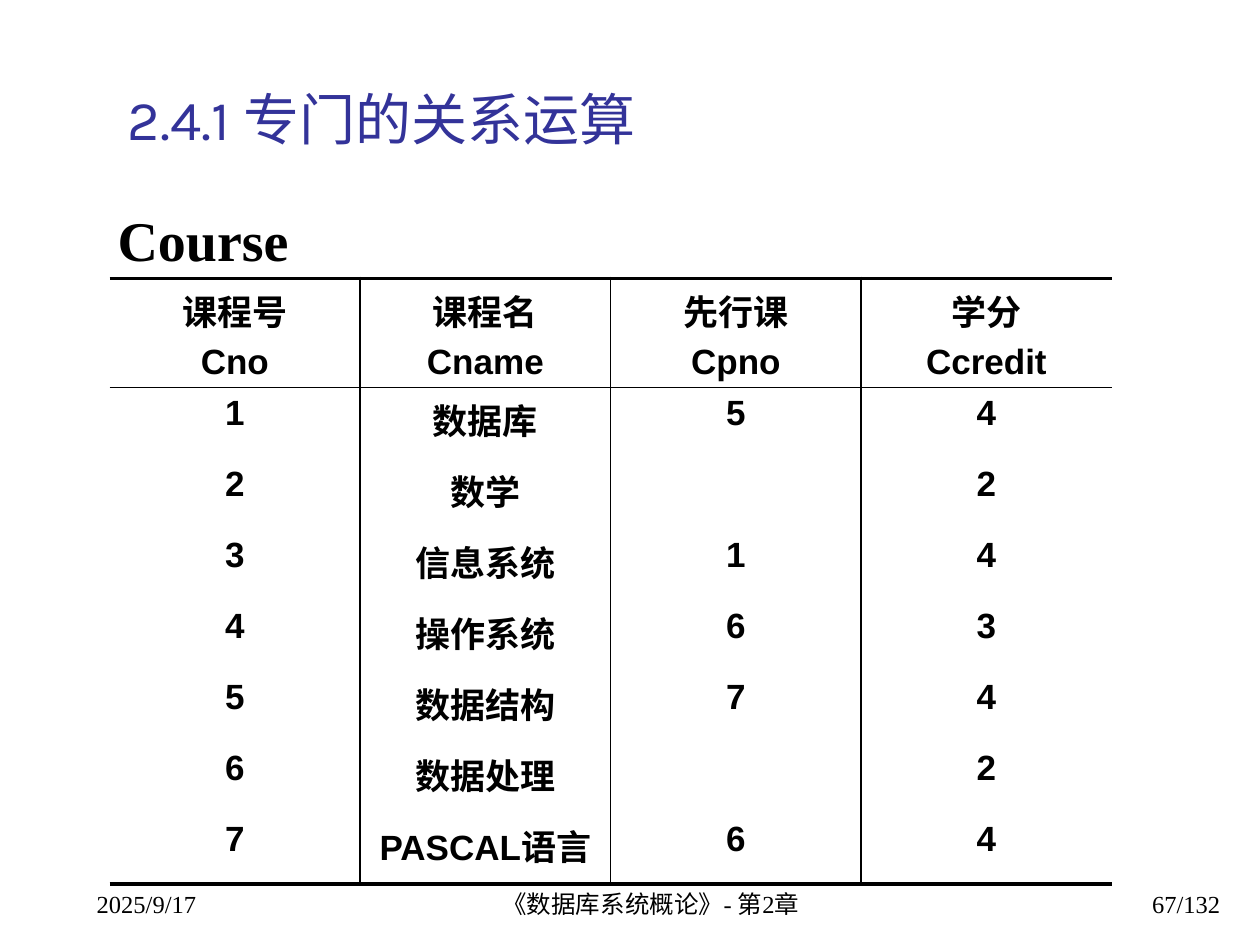
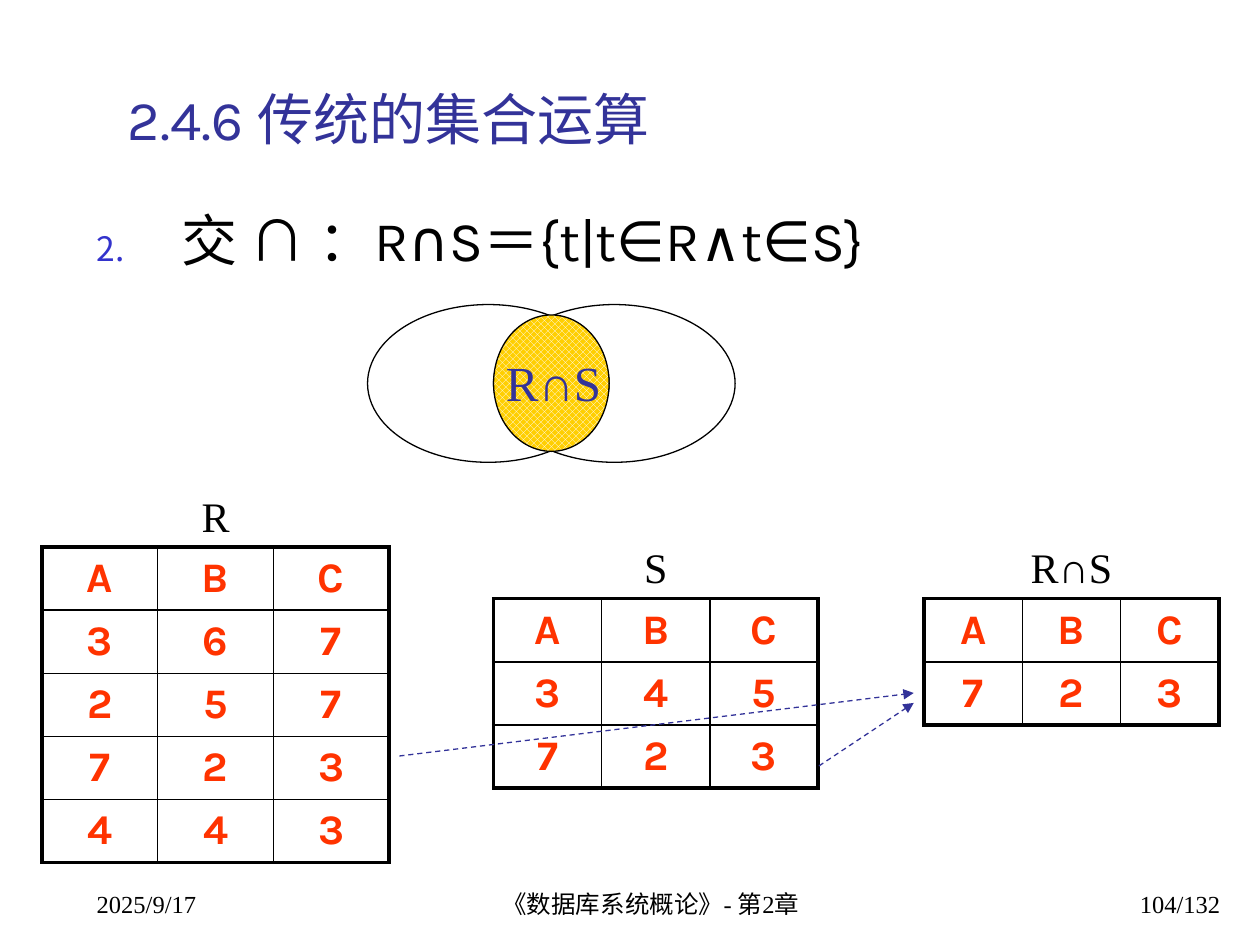
from dataclasses import dataclass
from typing import Any

import lxml.etree
import pptx
import pptx.dml.color
import pptx.enum.dml
import pptx.enum.shapes
import pptx.enum.text
import pptx.oxml.ns
import pptx.slide
import pptx.util

Cm = pptx.util.Cm
Pt = pptx.util.Pt
RGBColor = pptx.dml.color.RGBColor
Align = pptx.enum.text.PP_ALIGN
Anchor = pptx.enum.text.MSO_ANCHOR
Shapes = pptx.enum.shapes.MSO_SHAPE

BLACK = RGBColor(0x00, 0x00, 0x00)
WHITE = RGBColor(0xFF, 0xFF, 0xFF)
NAVY = RGBColor(0x33, 0x33, 0x99)
BULLET_BLUE = RGBColor(0x33, 0x33, 0xCC)
YELLOW = RGBColor(0xFF, 0xCF, 0x01)
ORANGE_RED = RGBColor(0xFF, 0x33, 0x00)

SERIF = "Times New Roman"
FOOTER_FORMAT = {"name": SERIF, "size": Pt(14)}
TITLE_FORMAT = {"name": "Karla", "size": Pt(32)}
CAPTION_FORMAT = {"name": SERIF, "size": Pt(32), "bold": True}
LENS_FORMAT = {"name": SERIF, "size": Pt(28)}
LABEL_FORMAT = {"name": SERIF, "size": Pt(24)}
COURSE_FORMAT = {"name": "Arial", "size": Pt(20), "bold": True}
RELATION_FORMAT = {"name": "Karla", "size": Pt(24), "bold": True}

THICK, THIN = 2.25, 1.0
RELATION_ROW = 1.27


@dataclass(frozen=True)
class Box:
    """A rectangle in centimetres."""
    left: float
    top: float
    width: float
    height: float

    def lengths(self) -> tuple[int, ...]:
        return tuple(Cm(value) for value in (self.left, self.top, self.width, self.height))


@dataclass(frozen=True)
class TextStyle:
    font: dict[str, Any]
    color: RGBColor = BLACK
    align: Any = Align.LEFT
    anchor: Any = Anchor.TOP
    wrap: bool = True


@dataclass(frozen=True)
class Grid:
    """A table with line widths in points; outer_side 0 leaves the sides open."""
    left: float
    top: float
    column_width: float
    row_heights: list[float]
    rows: list[list[str]]
    style: TextStyle
    outer_side: float = THICK
    inner_row: float = THIN


@dataclass(frozen=True)
class Relation:
    label: str
    left: float
    top: float
    column_width: float
    rows: list[str]


@dataclass(frozen=True)
class Arrow:
    start: tuple[float, float]
    end: tuple[float, float]


TITLE_BOX = Box(2.33, 1.06, 22.5, 2.12)
TITLE_STYLE = TextStyle(TITLE_FORMAT, NAVY, anchor=Anchor.BOTTOM)
LABEL_STYLE = TextStyle(LABEL_FORMAT, align=Align.CENTER)
COURSE_STYLE = TextStyle(COURSE_FORMAT, align=Align.CENTER)
RELATION_STYLE = TextStyle(RELATION_FORMAT, ORANGE_RED, Align.CENTER, Anchor.MIDDLE)

COURSES = [
    ["课程号\nCno", "课程名\nCname", "先行课\nCpno", "学分\nCcredit"],
    ["1", "数据库", "5", "4"],
    ["2", "数学", "", "2"],
    ["3", "信息系统", "1", "4"],
    ["4", "操作系统", "6", "3"],
    ["5", "数据结构", "7", "4"],
    ["6", "数据处理", "", "2"],
    ["7", "PASCAL语言", "6", "4"],
]
RELATIONS = [
    Relation("R", 0.85, 11.03, 2.33, ["ABC", "367", "257", "723", "443"]),
    Relation("S", 9.95, 12.07, 2.18, ["ABC", "345", "723"]),
    Relation("R∩S", 18.63, 12.07, 1.98, ["ABC", "723"]),
]
SET_CIRCLES = [Box(7.41, 6.14, 4.87, 3.18), Box(9.95, 6.14, 4.87, 3.18)]
INTERSECTION = Box(9.95, 6.35, 2.33, 2.75)
ARROWS = [
    Arrow((8.05, 15.24), (18.42, 13.97)),
    Arrow((16.51, 15.44), (18.42, 14.17)),
]


def add_element(parent: Any, tag: str, **attributes: str) -> Any:
    return lxml.etree.SubElement(parent, pptx.oxml.ns.qn(tag), attributes)


def write_text(text_frame: Any, text: str, style: TextStyle) -> None:
    """Fill a frame or cell frame, one paragraph for each line."""
    text_frame.text = text
    for index, paragraph in enumerate(text_frame.paragraphs):
        paragraph.alignment = style.align
        if index:
            paragraph.space_before = Pt(4)
        for run in paragraph.runs:
            for name, value in style.font.items():
                setattr(run.font, name, value)
            run.font.color.rgb = style.color


def add_text(slide: pptx.slide.Slide, box: Box, text: str, style: TextStyle) -> Any:
    shape = slide.shapes.add_textbox(*box.lengths())
    shape.text_frame.word_wrap = style.wrap
    shape.text_frame.vertical_anchor = style.anchor
    write_text(shape.text_frame, text, style)
    return shape


def set_borders(cell: Any, widths: dict[str, float]) -> None:
    properties = cell._tc.get_or_add_tcPr()
    for tag, width in widths.items():
        line = add_element(properties, tag, w=str(Pt(width)))
        if width:
            fill = add_element(line, "a:solidFill")
            add_element(fill, "a:srgbClr", val=str(BLACK))
        else:
            add_element(line, "a:noFill")


def add_grid(slide: pptx.slide.Slide, grid: Grid) -> None:
    row_count, column_count = len(grid.rows), len(grid.rows[0])
    box = Box(grid.left, grid.top, grid.column_width * column_count, sum(grid.row_heights))
    table = slide.shapes.add_table(row_count, column_count, *box.lengths()).table
    table.first_row = table.horz_banding = False
    for column in table.columns:
        column.width = Cm(grid.column_width)
    for row_index, values in enumerate(grid.rows):
        table.rows[row_index].height = Cm(grid.row_heights[row_index])
        for column_index, value in enumerate(values):
            cell = table.cell(row_index, column_index)
            write_text(cell.text_frame, value, grid.style)
            cell.vertical_anchor = grid.style.anchor
            above = {0: THICK, 1: THIN}.get(row_index, grid.inner_row)
            below = THIN if row_index == 0 else grid.inner_row
            set_borders(cell, {
                "a:lnL": THIN if column_index else grid.outer_side,
                "a:lnR": THIN if column_index < column_count - 1 else grid.outer_side,
                "a:lnT": above,
                "a:lnB": below if row_index < row_count - 1 else THICK,
            })
            cell.fill.background()


def add_relation(slide: pptx.slide.Slide, relation: Relation) -> None:
    rows = [list(row) for row in relation.rows]
    add_grid(slide, Grid(relation.left, relation.top, relation.column_width,
                         [RELATION_ROW] * len(rows), rows, RELATION_STYLE))
    label_box = Box(relation.left, relation.top - 1.27, relation.column_width * 3, 1.27)
    add_text(slide, label_box, relation.label, LABEL_STYLE)


def add_ellipse(slide: pptx.slide.Slide, box: Box) -> Any:
    ellipse = slide.shapes.add_shape(Shapes.OVAL, *box.lengths())
    ellipse.shadow.inherit = False
    ellipse.fill.background()
    ellipse.line.color.rgb = BLACK
    ellipse.line.width = Pt(0.75)
    return ellipse


def add_arrow(slide: pptx.slide.Slide, arrow: Arrow) -> None:
    connector = slide.shapes.add_connector(
        pptx.enum.shapes.MSO_CONNECTOR.STRAIGHT,
        *(Cm(value) for value in arrow.start + arrow.end))
    connector.line.color.rgb = NAVY
    connector.line.width = Pt(0.75)
    connector.line.dash_style = pptx.enum.dml.MSO_LINE.DASH
    add_element(connector.line._get_or_add_ln(), "a:tailEnd", type="triangle")
    add_element(connector._element.spPr, "a:effectLst")


def number_paragraph(paragraph: Any, start: int) -> None:
    properties = paragraph._p.get_or_add_pPr()
    properties.set("marL", str(Cm(1.7)))
    properties.set("indent", str(Cm(-1.7)))
    color = add_element(properties, "a:buClr")
    add_element(color, "a:srgbClr", val=str(BULLET_BLUE))
    add_element(properties, "a:buSzPct", val="60000")
    add_element(properties, "a:buAutoNum", type="arabicPeriod", startAt=str(start))


def add_slide(presentation: Any, title: str, page: str) -> pptx.slide.Slide:
    """Add a blank slide with the shared footer and title."""
    slide = presentation.slides.add_slide(presentation.slide_layouts[6])
    footers = [
        (1.7, 5.29, "2025/9/17", Align.LEFT),
        (9.1, 8.04, "《数据库系统概论》- 第2章", Align.CENTER),
        (19.56, 5.29, page, Align.RIGHT),
    ]
    for left, width, text, align in footers:
        style = TextStyle(FOOTER_FORMAT, align=align, anchor=Anchor.BOTTOM)
        add_text(slide, Box(left, 17.36, width, 1.27), text, style)
    add_text(slide, TITLE_BOX, title, TITLE_STYLE)
    return slide


def build_course_slide(presentation: Any) -> None:
    slide = add_slide(presentation, "2.4.1 专门的关系运算", "67/132")
    heights = [2.2] + [1.43] * (len(COURSES) - 1)
    add_grid(slide, Grid(2.21, 5.61, 5.05, heights, COURSES, COURSE_STYLE,
                         outer_side=0, inner_row=0))
    add_text(slide, Box(2.12, 4.02, 3.98, 1.62), "Course",
             TextStyle(CAPTION_FORMAT, wrap=False))


def build_intersection_slide(presentation: Any) -> None:
    slide = add_slide(presentation, "2.4.6 传统的集合运算", "104/132")
    definition = add_text(slide, Box(1.7, 4.02, 23.18, 13.01),
                          "交 ∩ ：R∩S＝{t|t∈R∧t∈S}", TextStyle(TITLE_FORMAT))
    number_paragraph(definition.text_frame.paragraphs[0], start=2)

    for circle in SET_CIRCLES:
        add_ellipse(slide, circle)
    lens = add_ellipse(slide, INTERSECTION)
    lens.fill.patterned()
    lens.fill.pattern = pptx.enum.dml.MSO_PATTERN.OUTLINED_DIAMOND
    lens.fill.fore_color.rgb = WHITE
    lens.fill.back_color.rgb = YELLOW
    add_text(slide, Box(9.95, 6.99, 3.18, 1.44), "R∩S", TextStyle(LENS_FORMAT, NAVY))

    for relation in RELATIONS:
        add_relation(slide, relation)
    for arrow in ARROWS:
        add_arrow(slide, arrow)


def main() -> None:
    presentation = pptx.Presentation()
    presentation.slide_width = Cm(25.4)
    presentation.slide_height = Cm(19.05)
    build_course_slide(presentation)
    build_intersection_slide(presentation)
    presentation.save("out.pptx")


if __name__ == "__main__":
    main()
